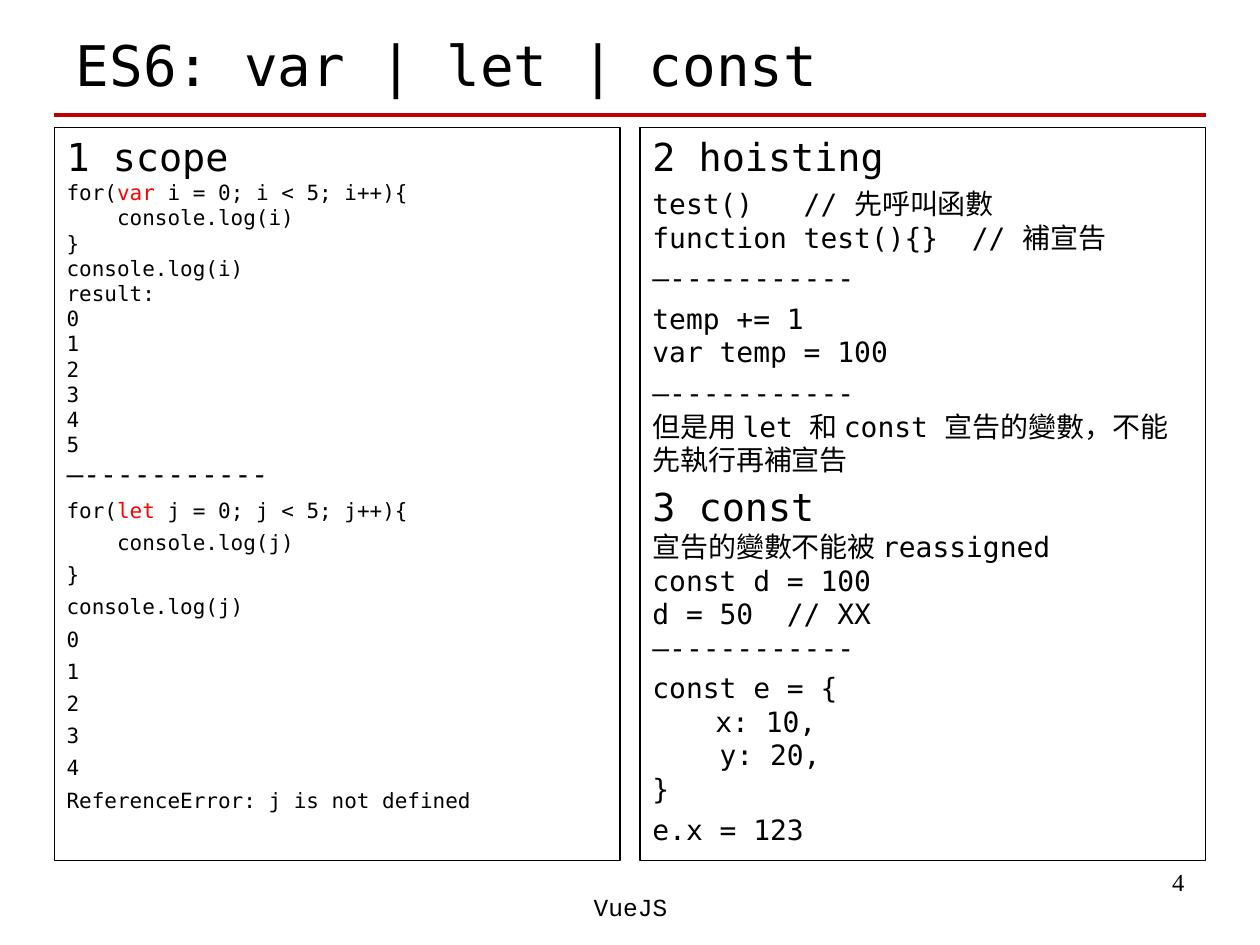
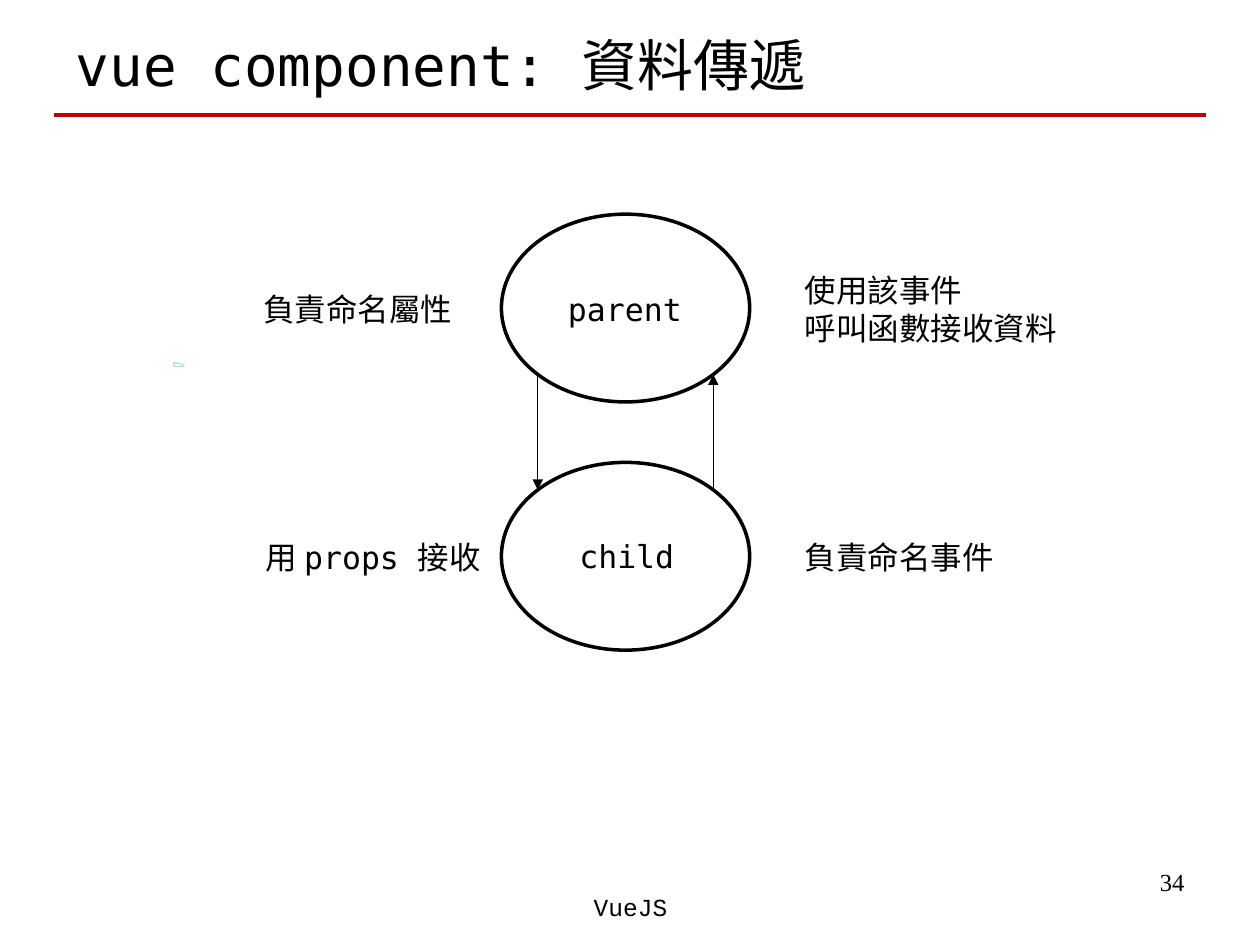
"""Build two lesson slides: variable declarations and component data flow."""
import copy
import math
from dataclasses import dataclass
from typing import Any, NamedTuple

import pptx
import pptx.dml.color
import pptx.enum.shapes
import pptx.enum.text
import pptx.oxml.ns
import pptx.util
from lxml import etree

RGBColor = pptx.dml.color.RGBColor
BLACK = RGBColor(0x00, 0x00, 0x00)
RED = RGBColor(0xFF, 0x00, 0x00)
RULE_RED = RGBColor(0xC0, 0x00, 0x00)
PALE_TEAL = RGBColor(0xB6, 0xDC, 0xDF)

MSO_SHAPE = pptx.enum.shapes.MSO_SHAPE
PP_ALIGN = pptx.enum.text.PP_ALIGN
ANCHOR = pptx.enum.text.MSO_ANCHOR
Pt = pptx.util.Pt

WIDTH, HEIGHT = pptx.util.Inches(10), pptx.util.Inches(7.5)
COLS, ROWS = 100, 75
MARGIN, GAP = 4.3, 1.6
PANEL_W = (COLS - 2 * MARGIN - GAP) / 2
MONO = "DejaVu Sans Mono"
HEADING, BODY, SMALL, LABEL = 22, 16, 12, 18
DASHES = "–-----------"


class Box(NamedTuple):
    """Place and size in grid columns and rows."""
    col: float
    row: float
    cols: float
    rows: float

    def emu(self) -> tuple[int, int, int, int]:
        """Return left, top, width and height in EMU."""
        return x(self.col), y(self.row), x(self.cols), y(self.rows)


class Span(NamedTuple):
    """A stretch of text in one format."""
    text: str
    size: float = BODY
    color: RGBColor = BLACK
    font: str = MONO


@dataclass
class Para:
    """A paragraph of spans with its spacing and alignment."""
    spans: list[Span]
    before: float = 0
    align: Any = PP_ALIGN.LEFT


def x(col: float) -> int:
    """Turn grid columns into EMU."""
    return round(WIDTH * col / COLS)


def y(row: float) -> int:
    """Turn grid rows into EMU."""
    return round(HEIGHT * row / ROWS)


def put(obj: Any, values: dict[str, Any]) -> None:
    """Set each named attribute on an object."""
    for name, value in values.items():
        setattr(obj, name, value)


def write(tf: Any, paras: list[Para], anchor: Any = ANCHOR.TOP) -> None:
    """Fill a text frame with paragraphs."""
    put(tf, {"word_wrap": True, "vertical_anchor": anchor,
             "auto_size": pptx.enum.text.MSO_AUTO_SIZE.NONE})
    for i, para in enumerate(paras):
        p = tf.add_paragraph() if i else tf.paragraphs[0]
        put(p, {"alignment": para.align, "space_before": Pt(para.before)})
        for span in para.spans:
            write_span(p, span)


def write_span(p: Any, span: Span) -> None:
    """Add a span, turning its newlines into line breaks of the same size."""
    rpr = None
    for i, line in enumerate(span.text.split("\n")):
        if i:
            p.add_line_break()
            p._p[-1].append(copy.deepcopy(rpr))
        if line:
            r = p.add_run()
            r.text = line
            put(r.font, {"name": span.font, "size": Pt(span.size), "bold": False})
            r.font.color.rgb = span.color
            rpr = r._r.rPr


def add_text(s: Any, box: Box, paras: list[Para]) -> None:
    """Add a text box."""
    write(s.shapes.add_textbox(*box.emu()).text_frame, paras)


def outline(sp: Any, color: RGBColor, width: float) -> None:
    """Leave a shape unfilled with a plain outline."""
    sp.shadow.inherit = False
    sp.fill.background()
    sp.line.color.rgb = color
    sp.line.width = Pt(width)


def add_outlined(s: Any, kind: Any, box: Box, width: float) -> Any:
    """Add an unfilled preset shape with a black outline."""
    sp = s.shapes.add_shape(kind, *box.emu())
    outline(sp, BLACK, width)
    return sp


def add_line(s: Any, start: tuple[float, float], end: tuple[float, float],
             color: RGBColor, width: float, arrow: bool = False) -> None:
    """Add a straight line, with an arrowhead at its end if asked."""
    sp = s.shapes.add_connector(pptx.enum.shapes.MSO_CONNECTOR.STRAIGHT,
                                x(start[0]), y(start[1]), x(end[0]), y(end[1]))
    sp.line.color.rgb = color
    sp.line.width = Pt(width)
    qn = pptx.oxml.ns.qn
    if arrow:
        etree.SubElement(sp.line._get_or_add_ln(), qn("a:tailEnd"), type="triangle")
    etree.SubElement(sp._element.spPr, qn("a:effectLst"))


def add_slide(prs: Any, title: str, number: int) -> Any:
    """Add a slide with the shared title, rule, footer and number."""
    s = prs.slides.add_slide(prs.slide_layouts[5])
    left, top, width, height = Box(5, 1.3, 90, 7.6).emu()
    put(s.shapes.title, {"left": left, "top": top, "width": width, "height": height})
    write(s.shapes.title.text_frame, [Para([Span(title, 32)])], ANCHOR.MIDDLE)
    add_line(s, (MARGIN, 9.1), (COLS - MARGIN, 9.1), RULE_RED, 2.25)
    add_text(s, Box(71.7, 68.3, 23.3, 5.2),
             [Para([Span(str(number), 14, font="Times New Roman")], align=PP_ALIGN.RIGHT)])
    add_text(s, Box(34.2, 70.3, 31.7, 5),
             [Para([Span("VueJS", 14, font="Courier New")], align=PP_ALIGN.CENTER)])
    return s


def loop_code(keyword: str, name: str, before: float, output: list[str]) -> list[Para]:
    """Return a counting loop and its printed output."""
    first = [Span("for(", SMALL), Span(keyword, SMALL, RED),
             Span(f" {name} = 0; {name} < 5; {name}++){{", SMALL)]
    log = f"console.log({name})"
    rest = [[Span(line, SMALL)] for line in ["    " + log, "}", log, *output]]
    return [Para(spans, before) for spans in [first, *rest]]


def declarations_slide(prs: Any) -> None:
    """Build the slide that compares var, let and const."""
    s = add_slide(prs, "ES6: var | let | const", 4)
    digits = [str(n) for n in range(5)]
    var_loop = loop_code("var", "i", 0, ["result:", *digits, "5\n"])
    var_loop[0].spans.insert(0, Span("1 scope\n", HEADING))
    var_loop[-1].spans.append(Span(DASHES))
    let_loop = loop_code("let", "j", 4, [*digits, "ReferenceError: j is not defined"])
    hoisting = [Para([Span("2 hoisting", HEADING)])]
    hoisting += [Para([Span(text)], 4) for text in (
        "test()   // 先呼叫函數\nfunction test(){}  // 補宣告",
        DASHES,
        "temp += 1\nvar temp = 100",
        DASHES + "\n但是用 let 和 const 宣告的變數，不能先執行再補宣告",
    )]
    const = [
        Para([Span("3 const\n", HEADING),
              Span("宣告的變數不能被 reassigned\nconst d = 100\nd = 50  // XX\n" + DASHES)], 4),
        Para([Span("const e = {\n\tx: 10,\n    y: 20,\n}")], 4),
        Para([Span("e.x = 123")], 4),
    ]
    for i, paras in enumerate((var_loop + let_loop, hoisting + const)):
        box = Box(MARGIN + i * (PANEL_W + GAP), 10.1, PANEL_W, 58.2)
        write(add_outlined(s, MSO_SHAPE.RECTANGLE, box, 0.75).text_frame, paras)


def add_wedge(s: Any, col: float, row: float, cols: float, rows: float) -> None:
    """Add a small quarter-ellipse outline around its inner corner."""
    angles = [math.pi / 2 * i / 8 for i in range(9)]
    arc = [(x(col + cols * math.sin(a)), y(row - rows * math.cos(a))) for a in angles]
    fb = s.shapes.build_freeform(x(col), y(row))
    fb.add_line_segments(arc, close=True)
    outline(fb.convert_to_shape(), PALE_TEAL, 0.75)


def component_slide(prs: Any) -> None:
    """Build the slide on passing data between parent and child."""
    s = add_slide(prs, "vue component: 資料傳遞", 34)
    add_wedge(s, 13.8, 29.1, 0.8, 0.3)
    parent = Box(39.8, 17, 19.7, 14.9)
    child = parent._replace(row=36.7)
    for box in (parent, child):
        add_outlined(s, MSO_SHAPE.OVAL, box, 2)
    inset = (1 - math.sqrt(0.5)) / 2
    left, right = (parent.col + parent.cols * share for share in (inset, 1 - inset))
    upper = parent.row + parent.rows * (1 - inset)
    lower = child.row + child.rows * inset
    add_line(s, (left, upper), (left, lower), BLACK, 0.75, arrow=True)
    add_line(s, (right, lower), (right, upper), BLACK, 0.75, arrow=True)
    labels = [
        (Box(44.1, 22.5, 11.3, 4), "parent"),
        (Box(45, 42.1, 9.7, 4), "child"),
        (Box(19.9, 22.5, 17.5, 4), "負責命名屬性"),
        (Box(62.9, 42.2, 17.5, 4), "負責命名事件"),
        (Box(20.1, 42.2, 19.7, 4), "用 props 接收"),
        (Box(62.9, 21, 24.9, 7.1), "使用該事件\n呼叫函數接收資料"),
    ]
    for box, text in labels:
        add_text(s, box, [Para([Span(text, LABEL)])])


def main() -> None:
    """Build and save the presentation."""
    prs = pptx.Presentation()
    put(prs, {"slide_width": WIDTH, "slide_height": HEIGHT})
    declarations_slide(prs)
    component_slide(prs)
    prs.save("out.pptx")


if __name__ == "__main__":
    main()
